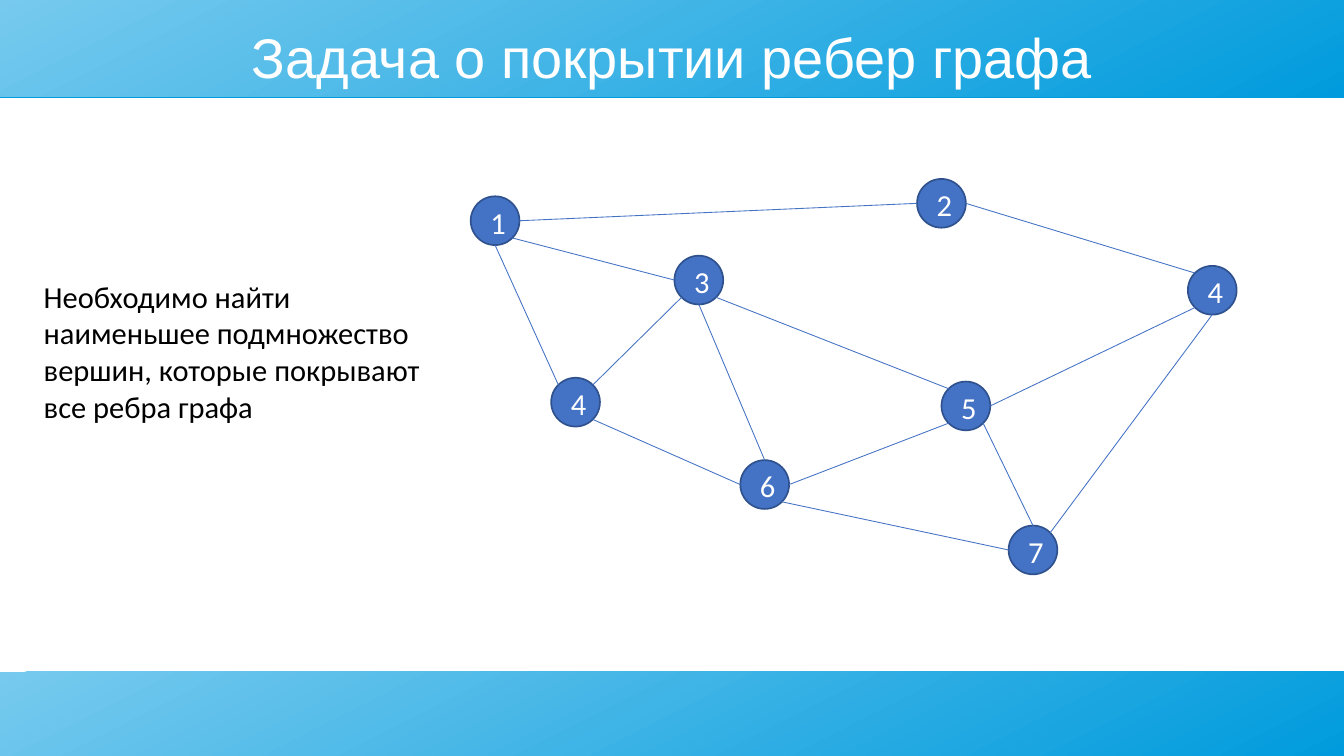
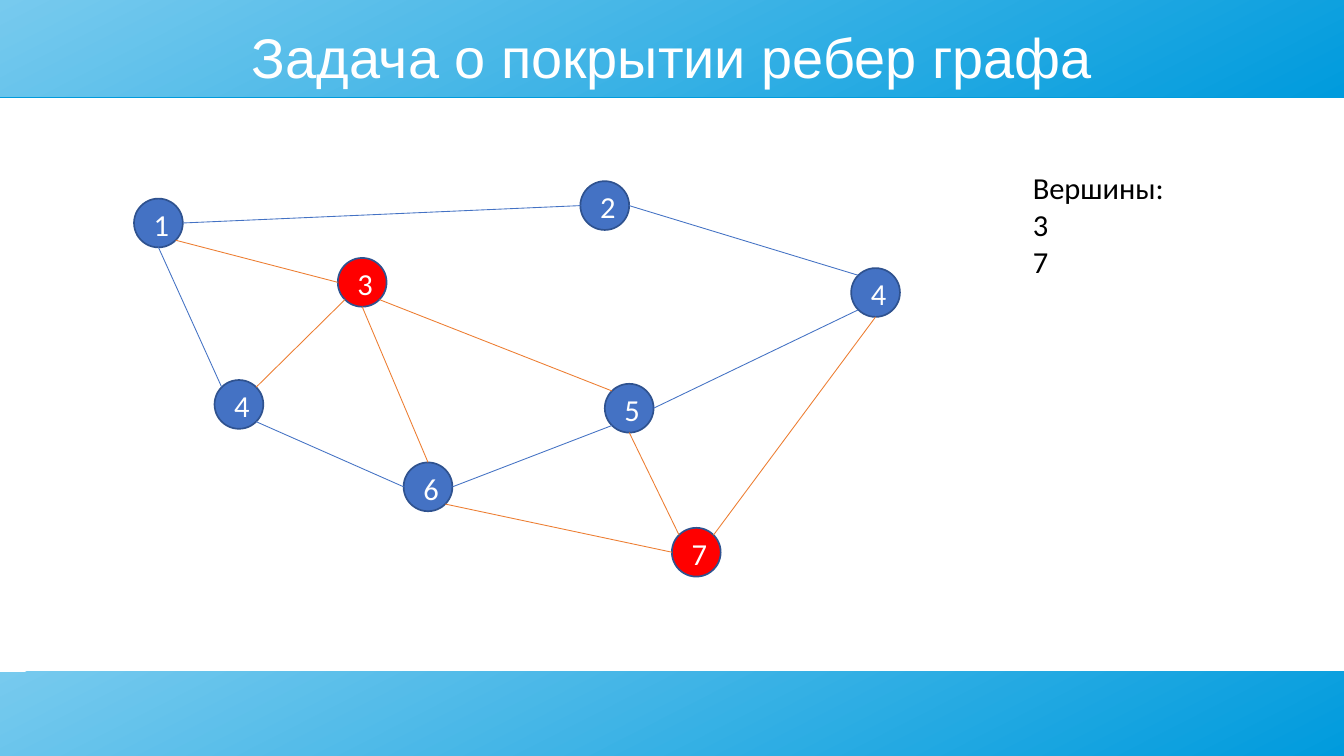
from math import sqrt

from lxml.etree import SubElement
from pptx import Presentation
from pptx.dml.color import RGBColor
from pptx.enum.shapes import MSO_CONNECTOR, MSO_SHAPE
from pptx.enum.text import MSO_ANCHOR, PP_ALIGN
from pptx.oxml.ns import qn
from pptx.util import Inches, Pt

SKY = RGBColor(0x77, 0xCA, 0xEE)
AZURE = RGBColor(0x00, 0x9B, 0xDD)
BLUE = RGBColor(0x44, 0x72, 0xC4)
NAVY = RGBColor(0x2F, 0x52, 0x8F)
RED = RGBColor(0xFF, 0x00, 0x00)
ORANGE = RGBColor(0xED, 0x7D, 0x31)
WHITE = RGBColor(0xFF, 0xFF, 0xFF)
BLACK = RGBColor(0x00, 0x00, 0x00)

WIDTH, HEIGHT = Inches(11.02), Inches(6.2)
COLUMN, ROW = WIDTH / 100, HEIGHT / 100
RADIUS = Inches(0.2)

TITLE = "Задача о покрытии ребер графа"
BANDS = [(0, 12.74), (88.87, 11.13)]  # top and height in rows

# Vertex centres in columns and rows; the first character is the label
VERTICES = {
    "3": (52, 37.05), "4 left": (42.83, 53.2), "5": (71.87, 53.7),
    "2": (70.05, 26.9), "6": (56.9, 64.1), "4 right": (90.2, 38.4),
    "7": (76.86, 72.75), "1": (36.84, 29.2),
}
DIAGONAL = sqrt(0.5)
SIDES = {
    "N": (0, -1), "E": (1, 0), "S": (0, 1), "W": (-1, 0),
    "NE": (DIAGONAL, -DIAGONAL), "SE": (DIAGONAL, DIAGONAL),
    "SW": (-DIAGONAL, DIAGONAL), "NW": (-DIAGONAL, -DIAGONAL),
}
EDGES = [
    ("1", "E", "2", "W"), ("1", "SE", "3", "W"),
    ("3", "SE", "5", "NW"), ("5", "E", "4 right", "SW"),
    ("2", "E", "4 right", "NW"), ("1", "S", "4 left", "NW"),
    ("4 left", "NE", "3", "SW"), ("4 left", "SE", "6", "W"),
    ("6", "E", "5", "SW"), ("6", "SE", "7", "W"),
    ("7", "NE", "4 right", "S"), ("3", "S", "6", "N"),
]
SLIDES = [
    {"shift": (0, 0), "cover": [], "last_edge": ("5", "SE", "7", "N"),
     "note_box": (2.36, 35.97, 30.13, 21.13),
     "note": ["Необходимо найти наименьшее подмножество вершин, "
              "которые покрывают все ребра графа"]},
    {"shift": (-25.05, 0.3), "cover": ["3", "7"],
     "last_edge": ("5", "S", "7", "NW"),
     "note_box": (75.95, 21.61, 16.33, 16.29),
     "note": ["Вершины:", "3", "7"]},
]


def place(left, top, width, height):
    """Turn columns and rows into slide lengths."""
    return [round(length) for length in
            (left * COLUMN, top * ROW, width * COLUMN, height * ROW)]


def write(frame, lines, font, size, color, align, margins):
    """Fill a text frame; margins run left, top, right, bottom in inches."""
    (frame.margin_left, frame.margin_top,
     frame.margin_right, frame.margin_bottom) = map(Inches, margins)
    frame.word_wrap = True
    for number, line in enumerate(lines):
        paragraph = frame.add_paragraph() if number else frame.paragraphs[0]
        paragraph.text = line
        paragraph.alignment = align
        for attribute, value in {"name": font, "size": Pt(size)}.items():
            setattr(paragraph.font, attribute, value)
        paragraph.font.color.rgb = color


deck = Presentation()
deck.slide_width, deck.slide_height = WIDTH, HEIGHT

for content in SLIDES:
    slide = deck.slides.add_slide(deck.slide_layouts[6])
    shapes = slide.shapes

    for top, height in BANDS:
        band = shapes.add_shape(MSO_SHAPE.RECTANGLE, *place(0, top, 100, height))
        band.line.fill.background()
        band.fill.gradient()
        band.fill.gradient_angle = 297
        for stop, color in zip(band.fill.gradient_stops, (SKY, AZURE)):
            stop.color.rgb = color
        band.shadow.inherit = False
        effects = band._element.spPr.find(qn("a:effectLst"))
        shadow = SubElement(effects, qn("a:outerShdw"), blurRad="0",
                            dist=str(Pt(0.9)), dir="5400000", rotWithShape="0")
        SubElement(shadow, qn("a:srgbClr"), val=str(AZURE))

    title = shapes.add_textbox(*place(3.54, 3.23, 92.92, 8.39)).text_frame
    title.vertical_anchor = MSO_ANCHOR.MIDDLE
    write(title, [TITLE], "Arial", 33, WHITE, PP_ALIGN.CENTER, (0, 0, 0, 0))

    centres = {}
    shift_x, shift_y = content["shift"]
    for vertex, (column, row) in VERTICES.items():
        x = round((column + shift_x) * COLUMN)
        y = round((row + shift_y) * ROW)
        centres[vertex] = x, y
        circle = shapes.add_shape(MSO_SHAPE.OVAL, x - RADIUS, y - RADIUS,
                                  2 * RADIUS, 2 * RADIUS)
        circle.shadow.inherit = False
        circle.fill.solid()
        circle.fill.fore_color.rgb = RED if vertex in content["cover"] else BLUE
        circle.line.color.rgb = NAVY
        circle.line.width = Pt(1)
        circle.text_frame.vertical_anchor = MSO_ANCHOR.MIDDLE
        write(circle.text_frame, [vertex[0]], "Calibri", 18, WHITE,
              PP_ALIGN.CENTER, (0.05, 0.02, 0, 0))

    for start, start_side, end, end_side in EDGES + [content["last_edge"]]:
        ends = [round(centre + RADIUS * step)
                for vertex, side in ((start, start_side), (end, end_side))
                for centre, step in zip(centres[vertex], SIDES[side])]
        edge = shapes.add_connector(MSO_CONNECTOR.STRAIGHT, *ends)
        covered = start in content["cover"] or end in content["cover"]
        edge.line.color.rgb = ORANGE if covered else BLUE
        edge.line.width = Pt(0.5)
        SubElement(edge._element.spPr, qn("a:effectLst"))

    note = shapes.add_textbox(*place(*content["note_box"])).text_frame
    write(note, content["note"], "Calibri", 18, BLACK, PP_ALIGN.LEFT,
          (0.1, 0.05, 0.1, 0.05))

deck.save("out.pptx")
